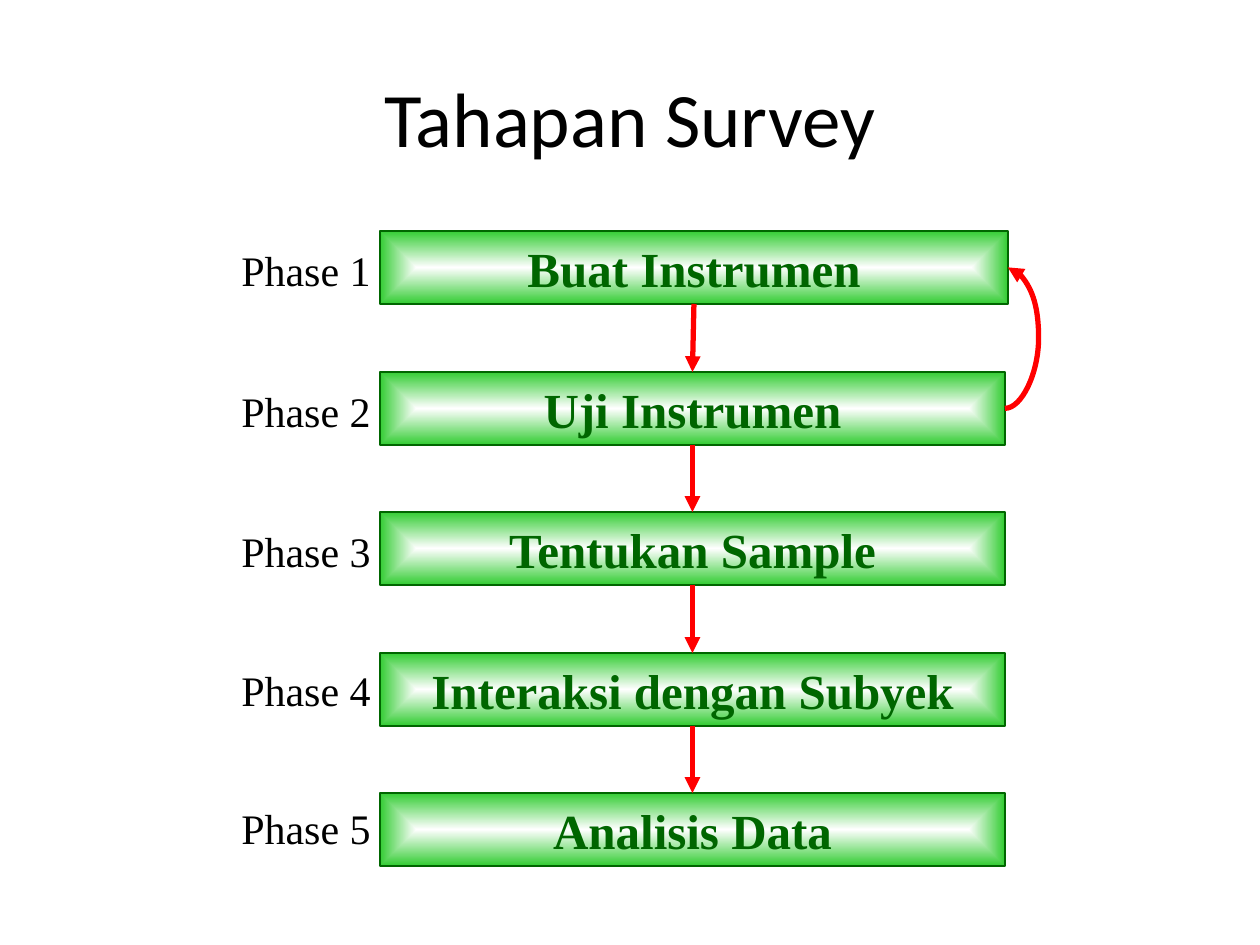
from dataclasses import dataclass
from itertools import pairwise

from lxml.etree import SubElement
from pptx import Presentation
from pptx.dml.color import RGBColor
from pptx.enum.shapes import MSO_CONNECTOR as Connector, MSO_SHAPE as Preset
from pptx.enum.text import MSO_ANCHOR as Anchor, PP_ALIGN as Align
from pptx.oxml.ns import qn
from pptx.util import Emu, Pt

PIXEL = 914400 // 126
TOP, BOTTOM, RIGHT = 0, 2, 3  # connection sites of a rectangle


@dataclass(frozen=True)
class Theme:
    """Colours, fonts and sizes of the slide."""
    black: RGBColor = RGBColor(0x00, 0x00, 0x00)
    white: RGBColor = RGBColor(0xFF, 0xFF, 0xFF)
    green: RGBColor = RGBColor(0x33, 0xCC, 0x33)
    dark_green: RGBColor = RGBColor(0x00, 0x66, 0x00)
    red: RGBColor = RGBColor(0xFF, 0x00, 0x00)
    title_font: str = "Calibri"
    body_font: str = "Times New Roman"
    title_size: int = 44
    box_size: int = 28
    label_size: int = 24
    outline: float = 0.75
    arrow: int = 3


theme = Theme()


def write(shape, text, *, size, font=theme.body_font, color=theme.black, bold=False):
    """Put centred, formatted text into a shape."""
    frame = shape.text_frame
    frame.word_wrap = True
    frame.vertical_anchor = Anchor.MIDDLE
    paragraph = frame.paragraphs[0]
    paragraph.alignment = Align.CENTER
    run = paragraph.add_run()
    run.text = text
    run.font.name = font
    run.font.size = Pt(size)
    run.font.bold = bold
    run.font.color.rgb = color


def connect(kind, start, start_site, end, end_site):
    """Join two boxes with a red arrow and return the connector."""
    connector = slide.shapes.add_connector(kind, 0, 0, 0, 0)
    connector.begin_connect(start, start_site)
    connector.end_connect(end, end_site)
    connector.line.color.rgb = theme.red
    connector.line.width = Pt(theme.arrow)
    SubElement(connector.line._get_or_add_ln(), qn("a:tailEnd"), type="triangle")
    SubElement(connector._element.spPr, qn("a:effectLst"))
    return connector


presentation = Presentation()
presentation.slide_width = Emu(1260 * PIXEL)
presentation.slide_height = Emu(945 * PIXEL)
slide = presentation.slides.add_slide(presentation.slide_layouts[5])

title = slide.shapes.title
title.left, title.top, title.width, title.height = (
    Emu(value * PIXEL) for value in (63, 38, 1134, 157))
write(title, "Tahapan Survey", size=theme.title_size, font=theme.title_font)

# Phase name, box width, distance of the label below the top of the box
phases = [
    ("Buat Instrumen", 628, 7),
    ("Uji Instrumen", 625, 7),
    ("Tentukan Sample", 625, 7),
    ("Interaksi dengan Subyek", 625, 5),
    ("Analisis Data", 625, 3),
]
FIRST_TOP, PITCH = 231, 140.6

boxes = []
for index, (name, width, label_drop) in enumerate(phases):
    top = round(FIRST_TOP + index * PITCH)
    box = slide.shapes.add_shape(
        Preset.RECTANGLE, *(Emu(value * PIXEL) for value in (380, top, width, 73)))
    box.shadow.inherit = False
    box.line.color.rgb = theme.dark_green
    box.line.width = Pt(theme.outline)
    box.fill.gradient()
    for stop, color in zip(box.fill.gradient_stops, (theme.white, theme.green)):
        stop.color.rgb = color
    gradient = box._element.spPr.find(qn("a:gradFill"))
    gradient.remove(gradient.find(qn("a:lin")))
    focus = SubElement(gradient, qn("a:path"), {"path": "shape"})
    SubElement(focus, qn("a:fillToRect"), dict.fromkeys("ltrb", "50000"))
    write(box, name, size=theme.box_size, color=theme.dark_green, bold=True)
    boxes.append(box)

    label = slide.shapes.add_textbox(
        *(Emu(value * PIXEL) for value in (214, top + label_drop, 184, 63)))
    write(label, f"Phase {index + 1}", size=theme.label_size)

for upper, lower in pairwise(boxes):
    connect(Connector.STRAIGHT, upper, BOTTOM, lower, TOP)

# The way back bulges 34 pixels to the right of the second box
feedback = connect(Connector.CURVE, boxes[1], RIGHT, boxes[0], RIGHT)
geometry = feedback._element.spPr.find(qn("a:prstGeom"))
adjustments = geometry.find(qn("a:avLst"))
bulge = round(34 * PIXEL / feedback.width * 100000)
SubElement(adjustments, qn("a:gd"), name="adj1", fmla=f"val {bulge}")

presentation.save("out.pptx")
